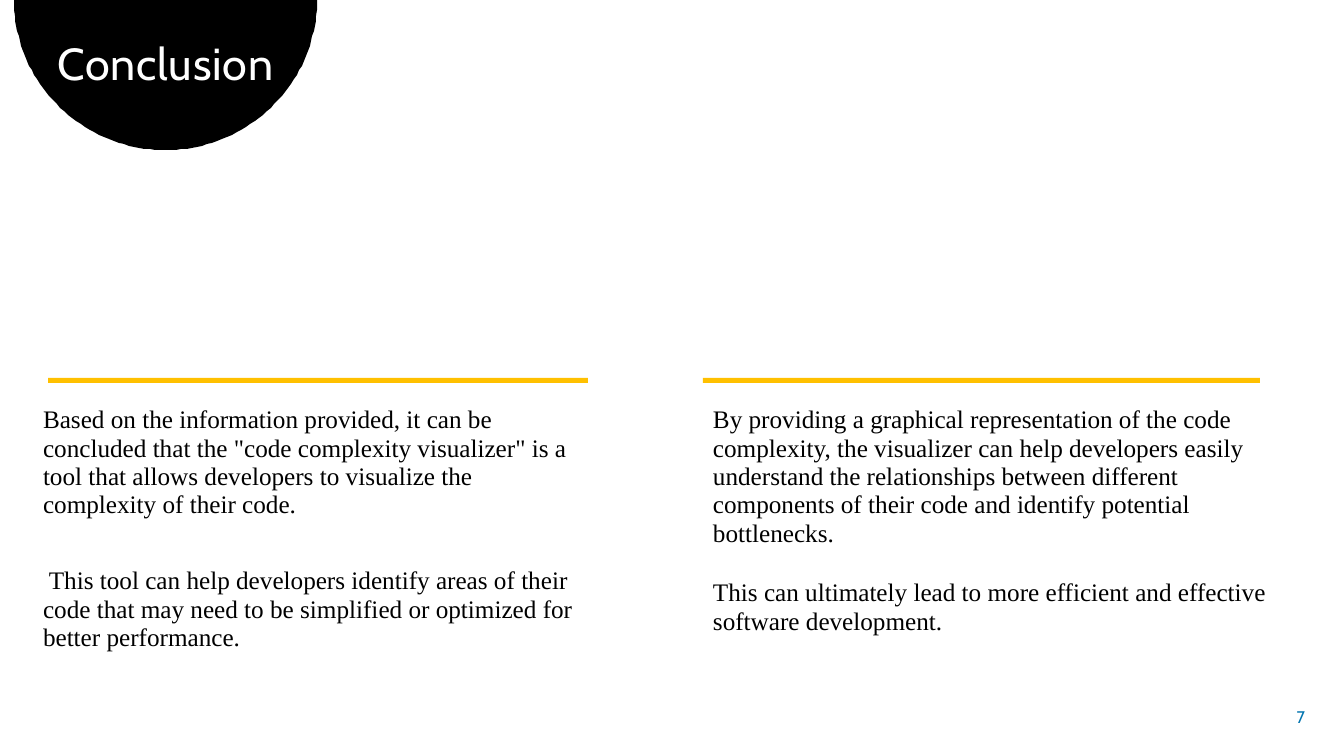
from math import cos, pi, sin

from pptx import Presentation
from pptx.dml.color import RGBColor
from pptx.enum.shapes import MSO_SHAPE as Shape
from pptx.enum.text import MSO_ANCHOR as Anchor, PP_ALIGN as Align
from pptx.util import Pt

WIDE, HIGH = 1344, 756
SCALE = 12192000 / WIDE
BLACK = RGBColor(0x00, 0x00, 0x00)
WHITE = RGBColor(0xFF, 0xFF, 0xFF)
GOLD = RGBColor(0xFF, 0xC0, 0x00)
BLUE = RGBColor(0x00, 0x74, 0xAF)
SERIF, SANS = "Times New Roman", "Cabin"

LEFT = [
    'Based on the information provided, it can be concluded that the "code '
    'complexity visualizer" is a tool that allows developers to visualize '
    "the complexity of their code.",
    " This tool can help developers identify areas of their code that may "
    "need to be simplified or optimized for better performance.",
]
RIGHT = [
    "By providing a graphical representation of the code complexity, the "
    "visualizer can help developers easily understand the relationships "
    "between different components of their code and identify potential "
    "bottlenecks.",
    "This can ultimately lead to more efficient and effective software "
    "development.",
]


def px(*sizes):
    return [round(size * SCALE) for size in sizes]


def paint(shape, color):
    shape.fill.solid()
    shape.fill.fore_color.rgb = color
    shape.line.fill.background()
    shape.shadow.inherit = False


def setup(frame, anchor):
    frame.word_wrap = True
    frame.vertical_anchor = anchor
    frame.margin_left = frame.margin_right = 0
    frame.margin_top = frame.margin_bottom = 0


def write(para, text, font, size, color):
    run = para.add_run()
    run.text = text
    run.font.name, run.font.size = font, Pt(size)
    run.font.color.rgb = color
    return run


def add_badge(slide, x, y, w, h):
    """Half disc hanging from the top edge, with the title on it."""
    steps = 90
    mid, rad = x + w / 2, w / 2
    arc = [(mid + rad * cos(pi * i / steps), y + h * sin(pi * i / steps))
           for i in range(steps + 1)]
    form = slide.shapes.build_freeform(*arc[0], scale=SCALE)
    form.add_line_segments(arc[1:], close=True)
    disc = form.convert_to_shape()
    paint(disc, BLACK)

    title = slide.shapes.title
    title.left, title.top, title.width, title.height = px(
        x + 20, y + 37, w - 40, 59)
    setup(title.text_frame, Anchor.MIDDLE)
    para = title.text_frame.paragraphs[0]
    para.alignment, para.line_spacing = Align.CENTER, 0.9
    run = write(para, "Conclusion", SANS, 32, WHITE)
    run.font._element.set("spc", "60")
    disc._element.addnext(title._element)


def add_column(slide, x, y, w, h, shift, grow, gap, texts):
    """Gold bar over text that starts shift px from it and is grow px wider."""
    bar = slide.shapes.add_shape(Shape.RECTANGLE, *px(x, y, w, 5))
    paint(bar, GOLD)
    box = slide.shapes.add_textbox(
        *px(x + shift, y + 28, w + grow, h - 28))
    frame = box.text_frame
    setup(frame, Anchor.TOP)
    for i, text in enumerate(texts):
        para = frame.add_paragraph() if i else frame.paragraphs[0]
        para.line_spacing = 0.94
        para.space_before = Pt(gap if i else 0)
        write(para, text, SERIF, 18, BLACK)


def add_number(slide, x, y, w, h):
    frame = slide.shapes.add_textbox(*px(x, y, w, h)).text_frame
    setup(frame, Anchor.MIDDLE)
    para = frame.paragraphs[0]
    para.alignment = Align.RIGHT
    write(para, "7", SANS, 12, BLUE)


def main():
    deck = Presentation()
    deck.slide_width, deck.slide_height = px(WIDE, HIGH)
    slide = deck.slides.add_slide(deck.slide_layouts[5])
    add_badge(slide, 14, 0, 303, 150)
    add_column(slide, 48, 378, 540, 300, -5, -5, 34, LEFT)
    add_column(slide, 703, 378, 557, 300, 10, 15, 22, RIGHT)
    add_number(slide, 1260, 697, 45, 40)
    deck.save("out.pptx")


if __name__ == "__main__":
    main()
